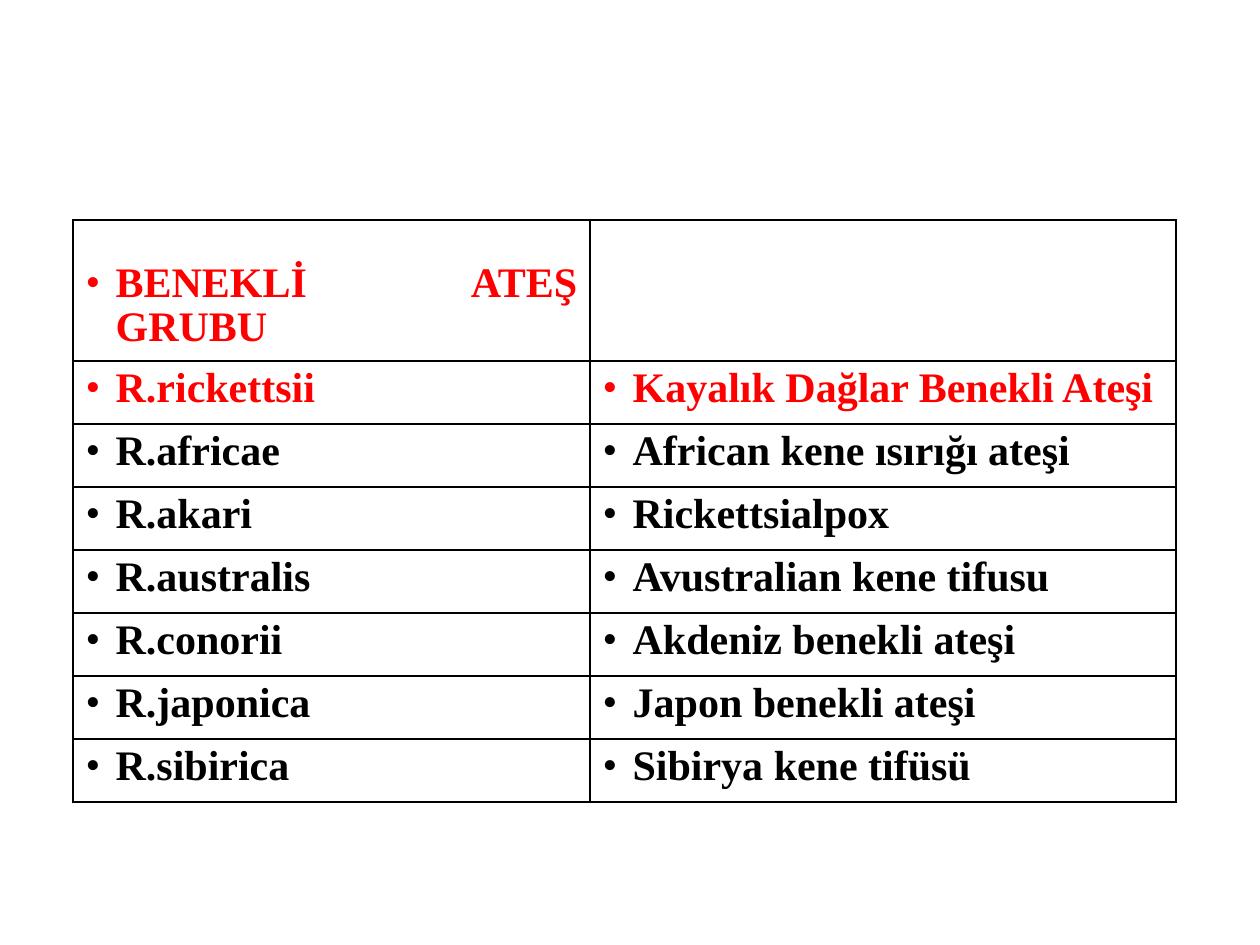
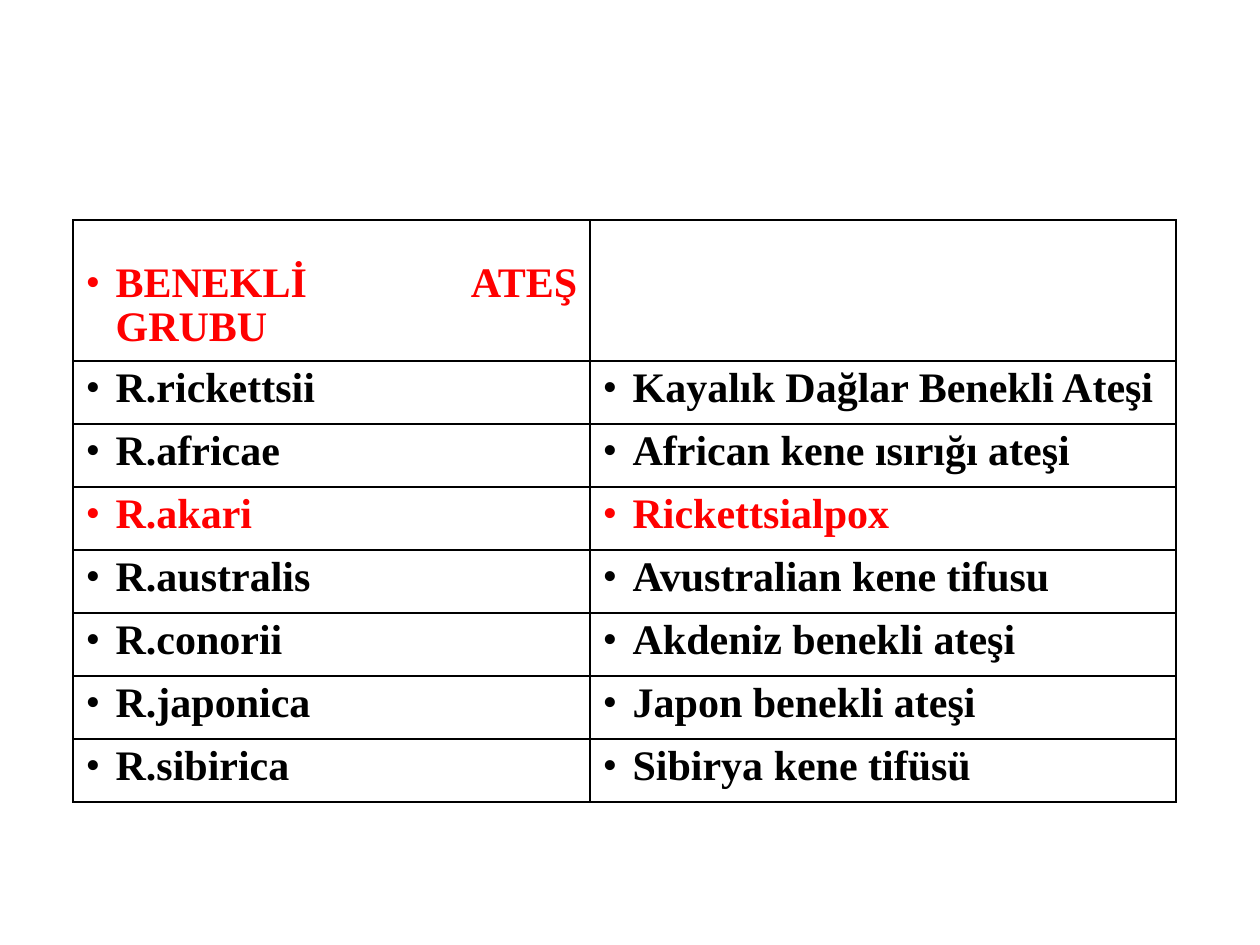
"""Build two slides listing the spotted fever group, each with its own highlighted species."""
from dataclasses import dataclass

from lxml.etree import SubElement
from pptx import Presentation
from pptx.dml.color import RGBColor
from pptx.enum.text import MSO_ANCHOR, PP_ALIGN
from pptx.oxml.ns import qn
from pptx.util import Emu, Pt

EMU_PER_INCH = 914400
PX_PER_INCH = 126


@dataclass(frozen=True)
class Theme:
    font: str = "Times New Roman"
    size: int = 24
    line_spacing: float = 0.95
    text: str = "000000"
    highlight: str = "FF0000"
    border: str = "000000"
    border_width: int = 1


THEME = Theme()
SLIDE_SIZE = (1260, 945)
TABLE_ORIGIN = (73, 220)
COLUMN_WIDTHS = (517, 586)
HEADER_HEIGHT = 141
ROW_HEIGHT = 63
CELL_MARGIN = 6
HEADER_MARGIN = 42
BULLET_INDENT = 30

GROUP_TITLE = "BENEKLİ ATEŞ GRUBU"
DISEASES = (
    ("R.rickettsii", "Kayalık Dağlar Benekli Ateşi"),
    ("R.africae", "African kene ısırığı ateşi"),
    ("R.akari", "Rickettsialpox"),
    ("R.australis", "Avustralian kene tifusu"),
    ("R.conorii", "Akdeniz benekli ateşi"),
    ("R.japonica", "Japon benekli ateşi"),
    ("R.sibirica", "Sibirya kene tifüsü"),
)
HIGHLIGHTED_SPECIES = ("R.rickettsii", "R.akari")


def px(length):
    return Emu(round(length * EMU_PER_INCH / PX_PER_INCH))


def style_cell(cell, top_margin=CELL_MARGIN):
    properties = cell._tc.get_or_add_tcPr()
    for side in ("lnL", "lnR", "lnT", "lnB"):
        line = SubElement(properties, qn(f"a:{side}"), w=str(Pt(THEME.border_width)))
        fill = SubElement(line, qn("a:solidFill"))
        SubElement(fill, qn("a:srgbClr"), val=THEME.border)
    cell.fill.background()
    cell.vertical_anchor = MSO_ANCHOR.TOP
    cell.margin_top = px(top_margin)
    cell.margin_bottom = px(CELL_MARGIN)


def write_bullet(cell, text, color):
    paragraph = cell.text_frame.paragraphs[0]
    paragraph.text = text
    paragraph.alignment = PP_ALIGN.JUSTIFY
    paragraph.line_spacing = THEME.line_spacing
    properties = paragraph._p.get_or_add_pPr()
    properties.set("marL", str(px(BULLET_INDENT)))
    properties.set("indent", str(-px(BULLET_INDENT)))
    SubElement(properties, qn("a:buFont"), typeface=THEME.font)
    SubElement(properties, qn("a:buChar"), char="•")
    for run in paragraph.runs:
        run.font.name = THEME.font
        run.font.size = Pt(THEME.size)
        run.font.bold = True
        run.font.color.rgb = RGBColor.from_string(color)


def add_disease_table(slide, highlighted):
    heights = [HEADER_HEIGHT] + [ROW_HEIGHT] * len(DISEASES)
    left, top = TABLE_ORIGIN
    frame = slide.shapes.add_table(
        len(heights), len(COLUMN_WIDTHS),
        px(left), px(top), px(sum(COLUMN_WIDTHS)), px(sum(heights)),
    )
    table = frame.table
    table.first_row = False
    table.horz_banding = False
    for column, width in zip(table.columns, COLUMN_WIDTHS):
        column.width = px(width)
    for row, height in zip(table.rows, heights):
        row.height = px(height)

    header, *body = table.rows
    for cell in header.cells:
        style_cell(cell, HEADER_MARGIN)
    write_bullet(header.cells[0], GROUP_TITLE, THEME.highlight)
    for row, disease in zip(body, DISEASES):
        color = THEME.highlight if disease[0] == highlighted else THEME.text
        for cell, text in zip(row.cells, disease):
            style_cell(cell)
            write_bullet(cell, text, color)


def main():
    presentation = Presentation()
    presentation.slide_width, presentation.slide_height = map(px, SLIDE_SIZE)
    blank_layout = presentation.slide_layouts[6]
    for species in HIGHLIGHTED_SPECIES:
        add_disease_table(presentation.slides.add_slide(blank_layout), species)
    presentation.save("out.pptx")


if __name__ == "__main__":
    main()
